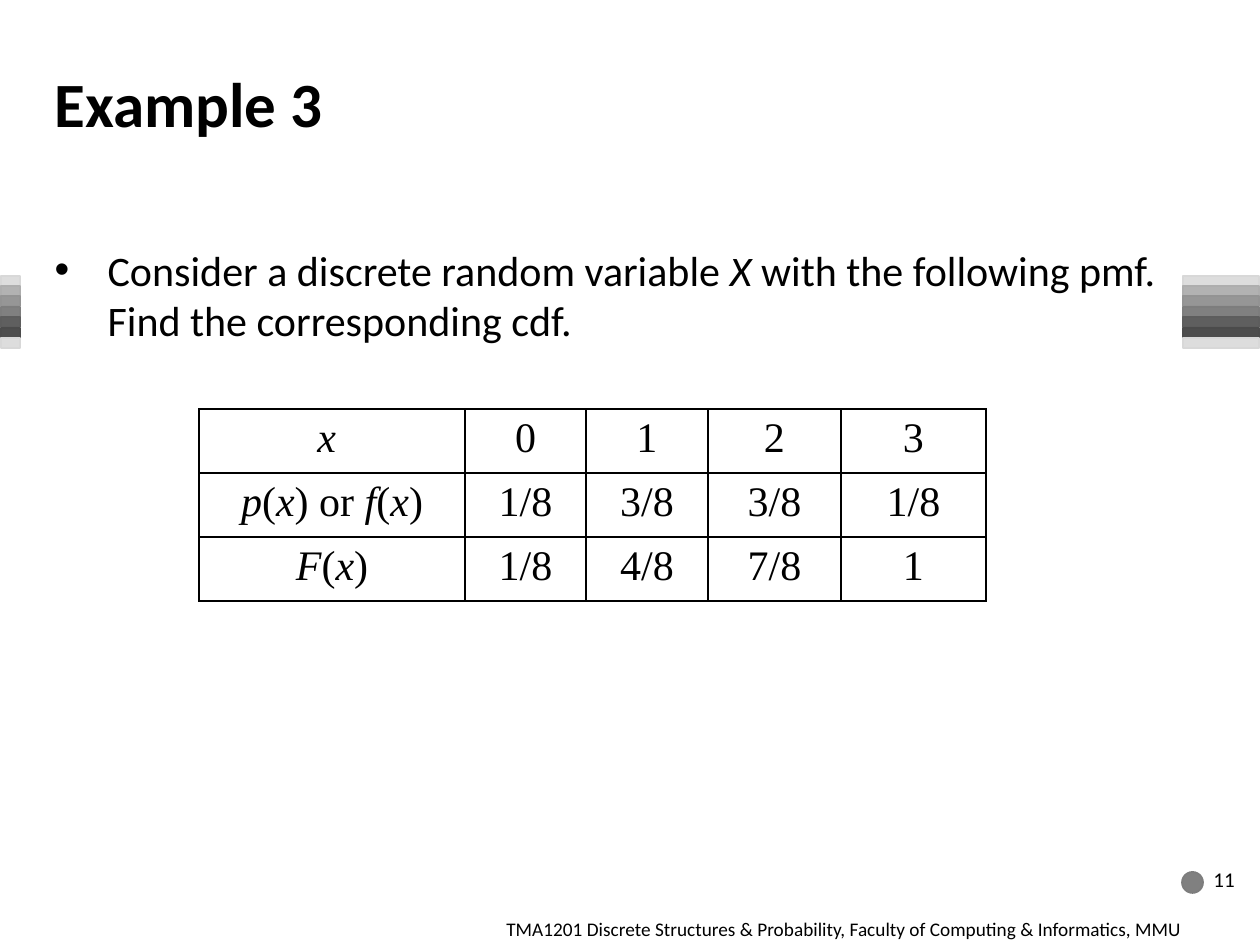
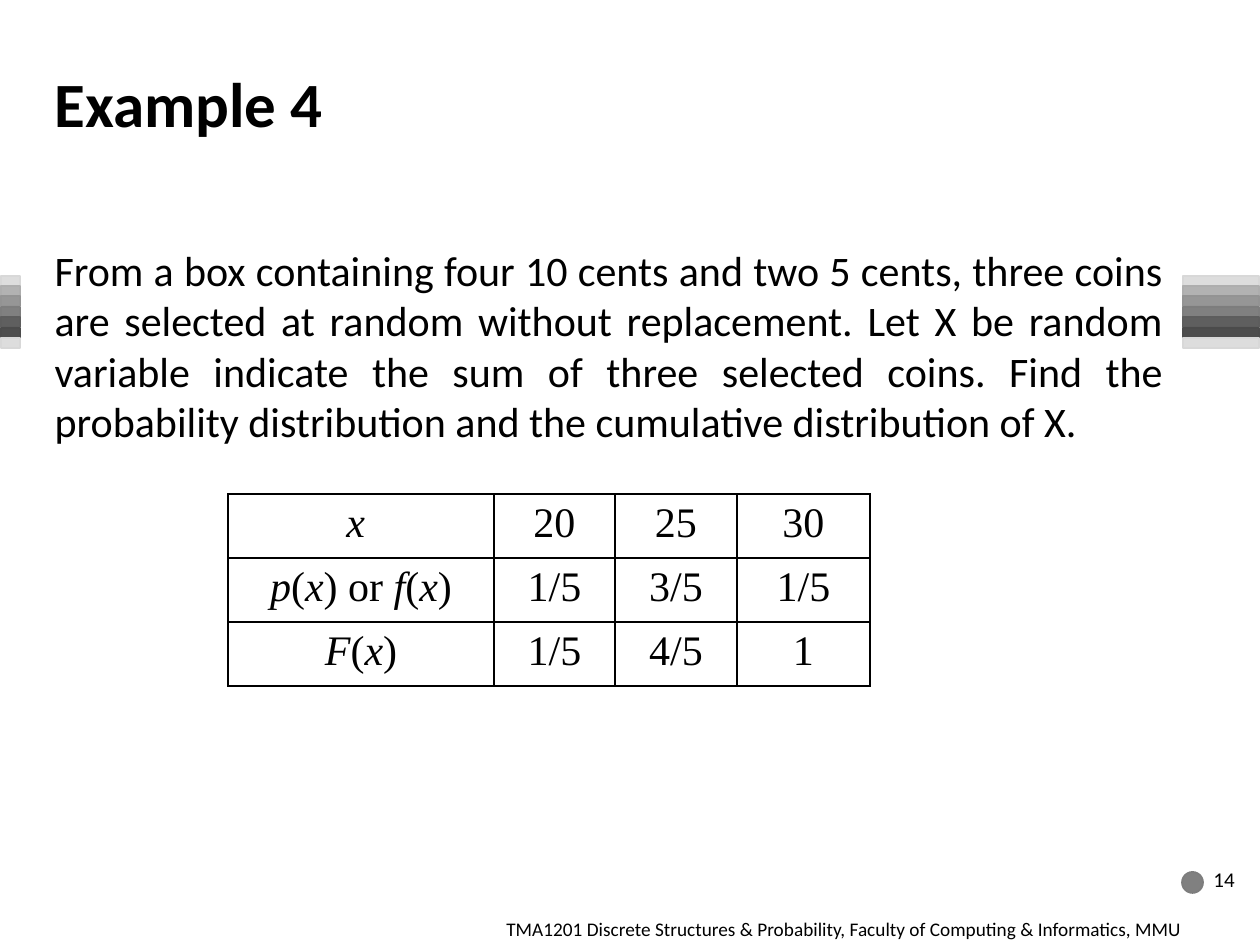
"""Build two worked examples on discrete probability distributions."""
from dataclasses import dataclass

from lxml import etree
from pptx import Presentation, util as u
from pptx.dml.color import RGBColor
from pptx.enum import shapes, text
from pptx.oxml import ns

EMU_PER_PX = 914400 / 126
BLACK = RGBColor(0x00, 0x00, 0x00)
WHITE = RGBColor(0xFF, 0xFF, 0xFF)
GREY = RGBColor(0x80, 0x80, 0x80)
GREY_EDGE = RGBColor(0x7D, 0x7D, 0x7D)
PALE = RGBColor(0xDD, 0xDD, 0xDD)
PALE_EDGE = RGBColor(0xD8, 0xD8, 0xD8)
STRIPES = [
    (PALE, PALE_EDGE),
    (RGBColor(0xB2, 0xB2, 0xB2), RGBColor(0xAE, 0xAE, 0xAE)),
    (RGBColor(0x96, 0x96, 0x96), RGBColor(0x93, 0x93, 0x93)),
    (GREY, GREY_EDGE),
    (RGBColor(0x5F, 0x5F, 0x5F), RGBColor(0x5D, 0x5D, 0x5D)),
    (RGBColor(0x4D, 0x4D, 0x4D), RGBColor(0x4B, 0x4B, 0x4B)),
    (PALE, PALE_EDGE),
]
BAND_TOP, BAND_HEIGHT, STRIPE_HEIGHT = 276, 73, 10
SANS, SERIF = "Calibri", "Times New Roman"
COURSE = ("TMA1201 Discrete Structures & Probability, "
          "Faculty of Computing & Informatics, MMU")
COLUMN_WIDTHS = [266, 121, 122, 133, 145]
ROW_HEIGHT = 64


@dataclass(frozen=True)
class Box:
    left: int
    top: int
    width: int
    height: int

    def emu(self) -> list[u.Emu]:
        return [px(n) for n in (self.left, self.top, self.width, self.height)]


@dataclass(frozen=True)
class Example:
    title: str
    question: str
    bulleted: bool
    number: int
    table_left: int
    table_top: int
    rows: list[list[str]]


TITLE_BOX = Box(42, 39, 1143, 107)
BODY_BOX = Box(42, 238, 1134, 622)
DOT_BOX = Box(1182, 872, 21, 21)
NUMBER_BOX = Box(1201, 848, 59, 63)
FOOTER_BOX = Box(494, 911, 766, 34)
BANDS = [Box(1, BAND_TOP, 19, BAND_HEIGHT), Box(1183, BAND_TOP, 76, BAND_HEIGHT)]

EXAMPLES = [
    Example(
        "Example 3",
        "Consider a discrete random variable *X* with the following pmf. "
        "Find the corresponding cdf.",
        True, 11, 199, 409,
        [["*x *", "0", "1", "2", "3"],
         ["*p*(*x*) or *f*(*x*)", "1/8", "3/8", "3/8", "1/8"],
         ["*F*(*x*)", "1/8", "4/8", "7/8", "1"]]),
    Example(
        "Example 4",
        "From a box containing four 10 cents and two 5 cents, three coins are "
        "selected at random without replacement. Let X be random variable "
        "indicate the sum of three selected coins. Find the probability "
        "distribution and the cumulative distribution of X.",
        False, 14, 228, 494,
        [["*x *", "20", "25", "30"],
         ["*p*(*x*) or *f*(*x*)", "1/5", "3/5", "1/5"],
         ["*F*(*x*)", "1/5", "4/5", "1"]]),
]


def px(length: int) -> u.Emu:
    return u.Emu(round(length * EMU_PER_PX))


def place(shape, box: Box) -> None:
    shape.left, shape.top, shape.width, shape.height = box.emu()


def write(para, words: str, size: int, face: str = SANS, bold: bool = False,
          align: text.PP_ALIGN = text.PP_ALIGN.LEFT) -> None:
    """Fill a paragraph; words between asterisks become italic."""
    para.alignment = align
    font = para.font
    font.size, font.name, font.bold = u.Pt(size), face, bold
    font.color.rgb = BLACK
    for index, part in enumerate(words.split("*")):
        if part:
            span = para.add_run()
            span.text = part
            if index % 2:
                span.font.italic = True


def add_filled(holder, kind: shapes.MSO_SHAPE, box: Box, fill: RGBColor,
               edge: RGBColor | None = None):
    shape = holder.add_shape(kind, *box.emu())
    shape.shadow.inherit = False
    shape.fill.solid()
    shape.fill.fore_color.rgb = fill
    if edge is None:
        shape.line.fill.background()
    else:
        shape.line.color.rgb = edge
        shape.line.width = u.Pt(1)
    return shape


def add_band(page, band: Box) -> None:
    group = page.shapes.add_group_shape()
    for index, (fill, edge) in enumerate(STRIPES):
        top = band.top + band.height * index // len(STRIPES)
        stripe = Box(band.left, top, band.width, STRIPE_HEIGHT)
        add_filled(group.shapes, shapes.MSO_SHAPE.RECTANGLE, stripe, fill, edge)


def add_furniture(page, number: int) -> None:
    for band in BANDS:
        add_band(page, band)
    add_filled(page.shapes, shapes.MSO_SHAPE.OVAL, DOT_BOX, GREY, GREY_EDGE)
    footer = add_filled(page.shapes, shapes.MSO_SHAPE.RECTANGLE, FOOTER_BOX, WHITE)
    footer.text_frame.word_wrap = True
    footer.text_frame.vertical_anchor = text.MSO_ANCHOR.TOP
    write(footer.text_frame.paragraphs[0], COURSE, 11)
    frame = page.shapes.add_textbox(*NUMBER_BOX.emu()).text_frame
    frame.word_wrap = True
    frame.vertical_anchor = text.MSO_ANCHOR.MIDDLE
    write(frame.paragraphs[0], str(number), 12)


def add_question(page, example: Example) -> None:
    body = page.placeholders[1]
    place(body, BODY_BOX)
    body.text_frame.auto_size = text.MSO_AUTO_SIZE.NONE
    para = body.text_frame.paragraphs[0]
    indent = px(53) if example.bulleted else 0
    properties = para._p.get_or_add_pPr()
    properties.set("marL", str(indent))
    properties.set("indent", str(-indent))
    if not example.bulleted:
        etree.SubElement(properties, ns.qn("a:buNone"))
    align = text.PP_ALIGN.LEFT if example.bulleted else text.PP_ALIGN.JUSTIFY
    write(para, example.question, 24, align=align)


def add_borders(cell) -> None:
    properties = cell._tc.get_or_add_tcPr()
    for index, side in enumerate(("lnL", "lnR", "lnT", "lnB")):
        line = etree.Element(ns.qn(f"a:{side}"), w=str(u.Pt(1)))
        fill = etree.SubElement(line, ns.qn("a:solidFill"))
        etree.SubElement(fill, ns.qn("a:srgbClr"), val=str(BLACK))
        properties.insert(index, line)


def add_distribution(page, example: Example) -> None:
    widths = COLUMN_WIDTHS[:len(example.rows[0])]
    box = Box(example.table_left, example.table_top, sum(widths),
              ROW_HEIGHT * len(example.rows))
    table = page.shapes.add_table(len(example.rows), len(widths), *box.emu()).table
    table.first_row = table.horz_banding = False
    for column, width in zip(table.columns, widths):
        column.width = px(width)
    for row, entries in zip(table.rows, example.rows):
        row.height = px(ROW_HEIGHT)
        for cell, words in zip(row.cells, entries):
            cell.fill.background()
            add_borders(cell)
            write(cell.text_frame.paragraphs[0], words, 24, SERIF,
                  align=text.PP_ALIGN.CENTER)


def add_example(deck, example: Example) -> None:
    page = deck.slides.add_slide(deck.slide_layouts[1])
    title = page.shapes.title
    place(title, TITLE_BOX)
    title.text_frame.auto_size = text.MSO_AUTO_SIZE.NONE
    title.text_frame.vertical_anchor = text.MSO_ANCHOR.BOTTOM
    write(title.text_frame.paragraphs[0], example.title, 36, bold=True)
    add_question(page, example)
    add_distribution(page, example)
    add_furniture(page, example.number)


def main() -> None:
    deck = Presentation()
    deck.slide_width, deck.slide_height = px(1260), px(945)
    for example in EXAMPLES:
        add_example(deck, example)
    deck.save("out.pptx")


if __name__ == "__main__":
    main()
